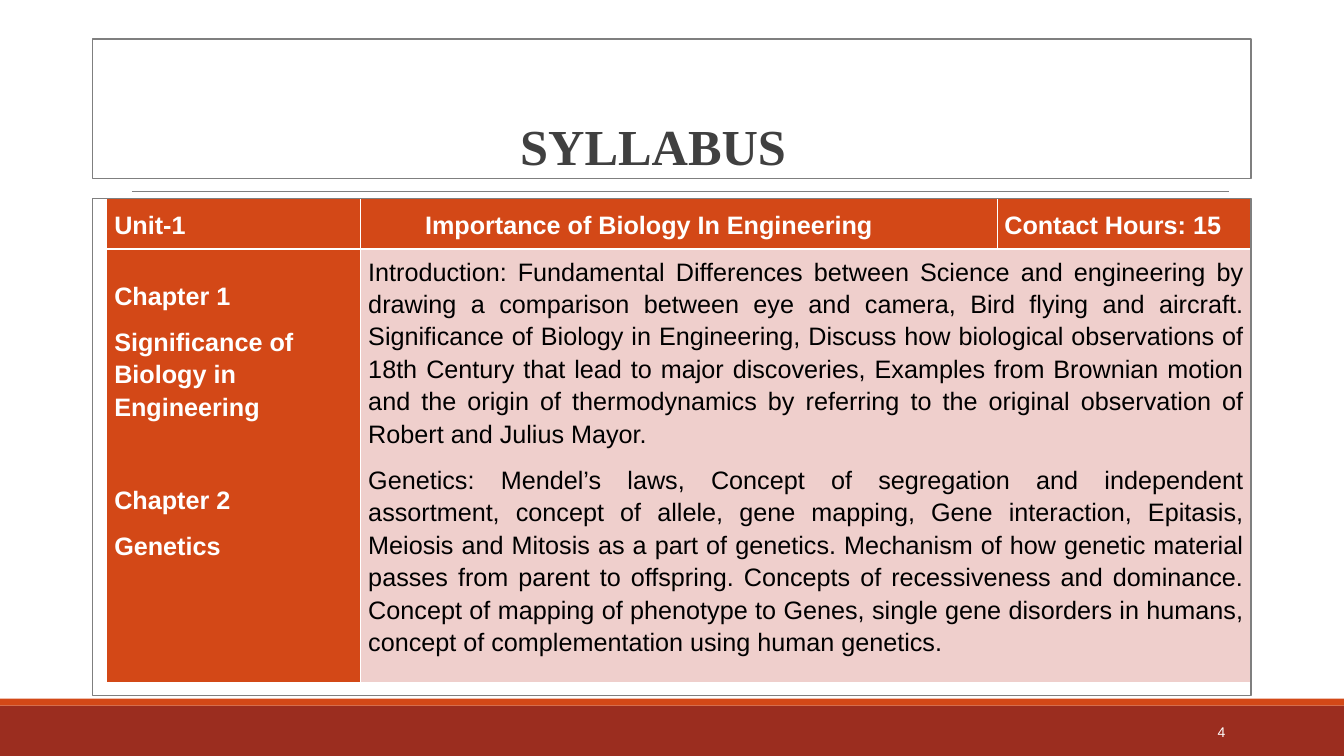
from lxml.etree import SubElement as Sub
from pptx import Presentation
from pptx.dml.color import RGBColor as RGB
from pptx.enum.shapes import MSO_CONNECTOR as Link, MSO_SHAPE as Form
from pptx.enum.text import MSO_ANCHOR as Anchor, MSO_AUTO_SIZE as Auto, PP_ALIGN as Align
from pptx.oxml.ns import qn
from pptx.util import Pt

WHITE = RGB(0xFF, 0xFF, 0xFF)
BLACK = RGB(0, 0, 0)
DARK = RGB(0x40, 0x40, 0x40)
GRAY = RGB(0x7F, 0x7F, 0x7F)
ORANGE = RGB(0xD3, 0x48, 0x17)
RED = RGB(0x9B, 0x2D, 0x1F)
PINK = RGB(0xEF, 0xCF, 0xCC)

HEADS = ["Unit-1", "Importance of Biology In Engineering", "Contact Hours: 15"]
PARTS = ["Chapter 1", "Significance of Biology in Engineering", "Chapter 2", "Genetics"]
TOPICS = [
    "Introduction: Fundamental Differences between Science and engineering by drawing "
    "a comparison between eye and camera, Bird flying and aircraft. Significance of "
    "Biology in Engineering, Discuss how biological observations of 18th Century that "
    "lead to major discoveries, Examples from Brownian motion and the origin of "
    "thermodynamics by referring to the original observation of Robert and Julius Mayor.",
    "Genetics: Mendel’s laws, Concept of segregation and independent assortment, concept "
    "of allele, gene mapping, Gene interaction, Epitasis, Meiosis and Mitosis as a part "
    "of genetics. Mechanism of how genetic material passes from parent to offspring. "
    "Concepts of recessiveness and dominance. Concept of mapping of phenotype to Genes, "
    "single gene disorders in humans, concept of complementation using human genetics.",
]


class Deck:
    font = "Arial"
    size = 18

    def __init__(self, wide, high):
        self.file = Presentation()
        self.file.slide_width, self.file.slide_height = Pt(wide), Pt(high)
        self.slide = self.file.slides.add_slide(self.file.slide_layouts[5])
        for item in list(self.slide.placeholders):
            if item.placeholder_format.idx:
                item.element.getparent().remove(item.element)

    def style(self, para, size, color, bold=False, font=None):
        for run in para.runs:
            face = run.font
            face.name, face.size, face.bold = font or self.font, Pt(size), bold
            face.color.rgb = color

    def title(self, text, left, top, wide, high):
        box = self.slide.shapes.title
        box.left, box.top, box.width, box.height = map(Pt, (left, top, wide, high))
        frame = box.text_frame
        frame.text = text
        frame.auto_size = Auto.NONE
        frame.vertical_anchor = Anchor.BOTTOM
        frame.margin_right = Pt(34)
        para = frame.paragraphs[0]
        para.alignment, para.line_spacing = Align.CENTER, 0.85
        self.style(para, 36, DARK, True, "Times New Roman")

    def rect(self, left, top, wide, high, fill=None, line=None):
        box = self.slide.shapes.add_shape(Form.RECTANGLE, *map(Pt, (left, top, wide, high)))
        box.shadow.inherit = False
        if fill is None:
            box.fill.background()
        else:
            box.fill.solid()
            box.fill.fore_color.rgb = fill
        if line is None:
            box.line.fill.background()
        else:
            box.line.color.rgb, box.line.width = line, Pt(1.25)

    def rule(self, left, right, top):
        line = self.slide.shapes.add_connector(Link.STRAIGHT, Pt(left), Pt(top), Pt(right), Pt(top))
        line.line.color.rgb, line.line.width = GRAY, Pt(0.5)
        Sub(line.element.spPr, qn("a:effectLst"))

    def label(self, text, left, top, wide, high):
        box = self.slide.shapes.add_textbox(*map(Pt, (left, top, wide, high)))
        frame = box.text_frame
        frame.word_wrap, frame.vertical_anchor = True, Anchor.MIDDLE
        frame.text = text
        frame.paragraphs[0].alignment = Align.RIGHT
        self.style(frame.paragraphs[0], 10, WHITE)

    def grid(self, left, top, cols, rows):
        table = self.slide.shapes.add_table(
            len(rows), len(cols), *map(Pt, (left, top, sum(cols), sum(rows)))).table
        table.first_row = table.horz_banding = False
        for col, wide in zip(table.columns, cols):
            col.width = Pt(wide)
        for row, high in zip(table.rows, rows):
            row.height = Pt(high)
        return table

    def edge(self, cell, sides):
        props = cell._tc.get_or_add_tcPr()
        for side, width in zip("LRTB", sides):
            line = Sub(props, qn(f"a:ln{side}"), w=str(Pt(width)))
            Sub(Sub(line, qn("a:solidFill")), qn("a:srgbClr"), val=str(WHITE))

    def cell(self, cell, texts, fill, color, bold, sides, align=Align.LEFT,
             anchor=Anchor.TOP, inset=5.4, head=3.6):
        self.edge(cell, sides)
        cell.fill.solid()
        cell.fill.fore_color.rgb = fill
        cell.vertical_anchor = anchor
        cell.margin_left, cell.margin_right = Pt(inset), Pt(5.4)
        cell.margin_top, cell.margin_bottom = Pt(head), Pt(3.6)
        frame = cell.text_frame
        frame.text = "\n".join(texts)
        for para in frame.paragraphs:
            para.alignment, para.line_spacing = align, 1.15
            para.space_after = Pt(10)
            self.style(para, self.size, color, bold)


def main():
    deck = Deck(960.5, 540)
    deck.rect(0, 504, 960.5, 36, RED)
    deck.rect(0, 499, 960.5, 5, ORANGE)
    deck.rule(94.3, 878.4, 136.8)
    deck.title("SYLLABUS", 66.2, 28.1, 828, 100.8)

    table = deck.grid(76.3, 141.8, [181.5, 454.6, 181.8], [36, 309.6])
    upper, lower = (0.45, 0.45, 0.45, 1.47), (0.45, 0.45, 1.47, 0.45)
    for col, text in enumerate(HEADS):
        deck.cell(table.cell(0, col), [text], ORANGE, WHITE, True, upper,
                  anchor=Anchor.MIDDLE, inset=46 if col == 1 else 5.4)
    unit = table.cell(1, 0)
    deck.cell(unit, PARTS, ORANGE, WHITE, True, lower, head=20.8)
    unit.text_frame.paragraphs[1].space_after = Pt(43.3)
    body = table.cell(1, 1)
    body.merge(table.cell(1, 2))
    deck.cell(body, TOPICS, PINK, BLACK, False, lower, Align.JUSTIFY)
    deck.edge(table.cell(1, 2), lower)

    deck.label("4", 779.8, 508.3, 103, 28.8)
    deck.rect(66.2, 141.8, 828, 355, line=GRAY)
    deck.rect(66.2, 28.1, 828, 99.4, line=GRAY)
    deck.file.save("out.pptx")


if __name__ == "__main__":
    main()
